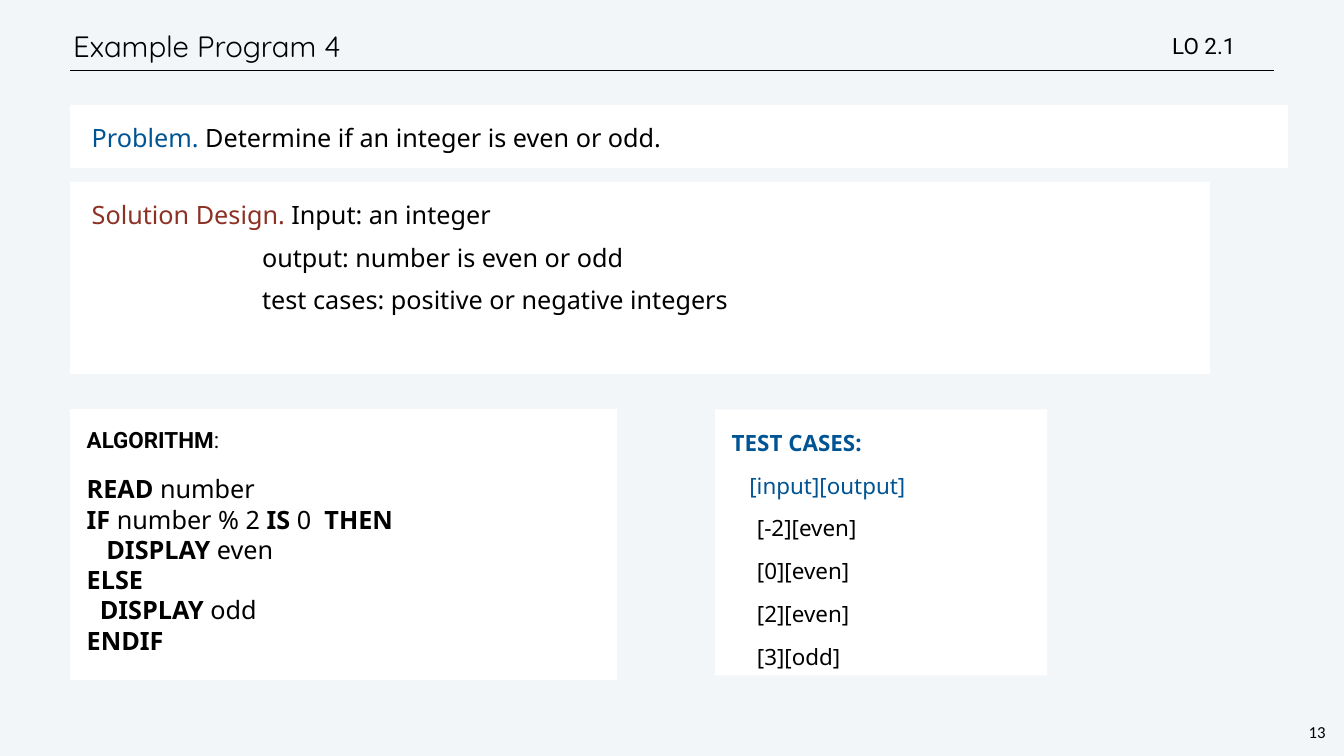
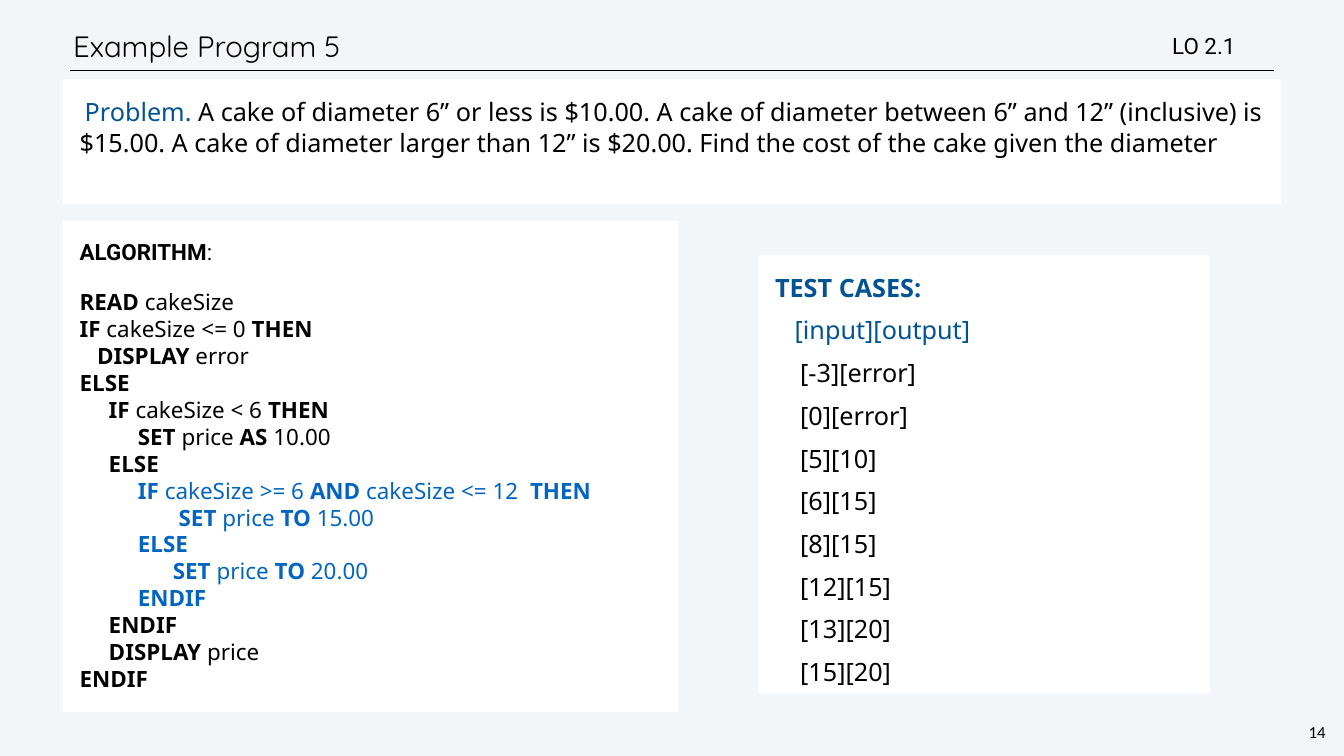
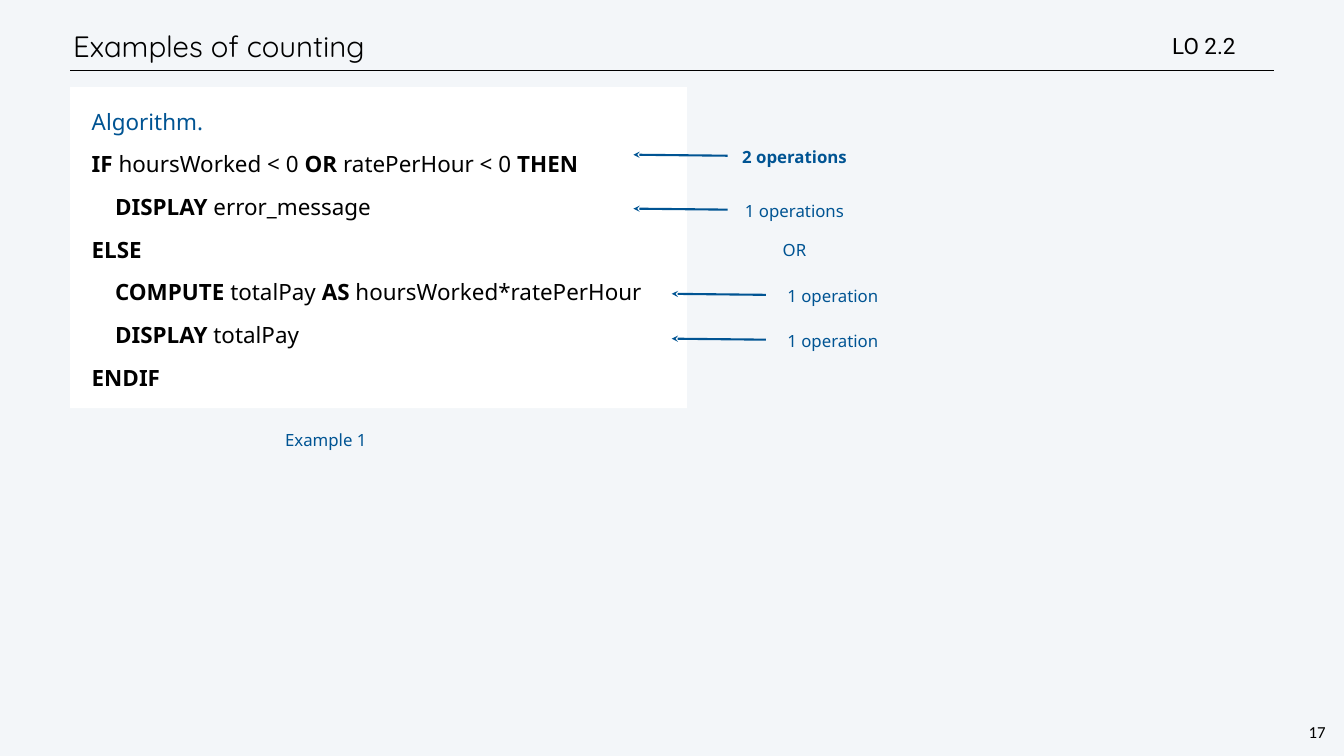
import dataclasses
from typing import Any, Iterable, NamedTuple, Sequence

import pptx
import pptx.dml.color
import pptx.enum.shapes
import pptx.enum.text
import pptx.oxml
import pptx.oxml.ns
import pptx.util

SCALE = 9144  # EMU per px, 100 px to the inch
COLOURS = {
    "page": "F3F6F9",
    "card": "FFFFFF",
    "ink": "000000",
    "blue": "005493",
    "red": "8D3124",
    "branch": "0365C0",
}
ALIGN = pptx.enum.text.PP_ALIGN
ANCHOR = pptx.enum.text.MSO_ANCHOR


class Area(NamedTuple):
    left: int
    top: int
    width: int
    height: int


@dataclasses.dataclass(frozen=True)
class Style:
    """Paragraph look: sizes in points, margins in px."""
    font: str
    size: int
    pitch: float = 0
    before: float = 0
    margin: int = 0
    first: int = 0
    align: Any = ALIGN.LEFT


@dataclasses.dataclass(frozen=True)
class Line:
    """One paragraph; each | in the text switches bold on or off."""
    text: str
    style: Style
    colour: str = "ink"
    lead: str = ""
    lead_colour: str = "blue"


class Card(NamedTuple):
    area: Area
    lines: Sequence[Line]


class Count(NamedTuple):
    text: str
    left: int
    top: int
    arrow: bool = True


# Shared styles and places
TITLE = Style("Quicksand", 42, pitch=50)
OBJECTIVE = Style("Roboto", 32)
PAGE_NUMBER = Style("Calibri", 24, pitch=28, align=ALIGN.CENTER)
STATEMENT = Style("Noto Sans", 36, pitch=44, before=17, first=10)
STEP = dataclasses.replace(STATEMENT, size=32)
DETAIL = dataclasses.replace(STATEMENT, margin=348, first=0)
LABEL = Style("Noto Sans", 24, pitch=28, margin=9, align=ALIGN.CENTER)

TITLE_AREA = Area(139, 42, 2262, 99)
OBJECTIVE_AREA = Area(2320, 58, 299, 65)
NUMBER_AREA = Area(2592, 1429, 43, 47)
RULE = (139, 140, 2528, 140)
CARD_INSET = 33
TEXT_INSET = 6


def px(length: float) -> pptx.util.Emu:
    return pptx.util.Emu(int(length * SCALE))


def rgb(name: str) -> pptx.dml.color.RGBColor:
    return pptx.dml.color.RGBColor.from_string(COLOURS[name])


# Text
def add_span(para: Any, text: str, style: Style, colour: str, bold: bool) -> None:
    span = para.add_run()
    span.text = text
    span.font.name = style.font
    span.font.size = pptx.util.Pt(style.size)
    span.font.bold = bold
    span.font.color.rgb = rgb(colour)


def write(frame: Any, lines: Iterable[Line], inset: int, anchor: Any = ANCHOR.TOP,
          wrap: bool = True) -> None:
    frame.word_wrap = wrap
    frame.auto_size = pptx.enum.text.MSO_AUTO_SIZE.NONE
    frame.vertical_anchor = anchor
    frame.margin_left = frame.margin_right = px(inset)
    frame.margin_top = frame.margin_bottom = px(inset)
    for index, line in enumerate(lines):
        style = line.style
        para = frame.add_paragraph() if index else frame.paragraphs[0]
        para.alignment = style.align
        para.space_before = pptx.util.Pt(style.before if index else 0)
        if style.pitch:
            para.line_spacing = pptx.util.Pt(style.pitch)
        properties = para._p.get_or_add_pPr()
        properties.set("marL", str(px(style.margin)))
        properties.set("indent", str(px(style.first)))
        if line.lead:
            add_span(para, line.lead, style, line.lead_colour, False)
        for position, text in enumerate(line.text.split("|")):
            if text:
                add_span(para, text, style, line.colour, position % 2 == 1)


def add_text(page: Any, area: Area, line: Line, inset: int = TEXT_INSET,
             anchor: Any = ANCHOR.TOP, wrap: bool = True) -> None:
    box = page.shapes.add_textbox(*map(px, area))
    write(box.text_frame, [line], inset, anchor, wrap)


# Shapes
def add_card(page: Any, card: Card) -> None:
    shape = page.shapes.add_shape(
        pptx.enum.shapes.MSO_SHAPE.RECTANGLE, *map(px, card.area))
    shape.shadow.inherit = False
    shape.fill.solid()
    shape.fill.fore_color.rgb = rgb("card")
    shape.line.fill.background()
    write(shape.text_frame, card.lines, CARD_INSET)


def add_line(page: Any, ends: Sequence[int], colour: str, weight: int,
             arrow: bool = False) -> None:
    connector = page.shapes.add_connector(
        pptx.enum.shapes.MSO_CONNECTOR.STRAIGHT, *map(px, ends))
    connector.line.color.rgb = rgb(colour)
    connector.line.width = pptx.util.Pt(weight)
    if arrow:
        head = pptx.oxml.parse_xml(
            f'<a:headEnd {pptx.oxml.ns.nsdecls("a")} type="stealth"/>')
        connector.line._get_or_add_ln().append(head)
    connector._element.spPr.append(
        pptx.oxml.parse_xml(f'<a:effectLst {pptx.oxml.ns.nsdecls("a")}/>'))


def add_count(page: Any, count: Count) -> None:
    add_text(page, Area(count.left, count.top, 418, 50),
             Line(count.text, LABEL, "blue"))
    if count.arrow:
        tip, height = count.left - 106, count.top + 20
        add_line(page, (tip, height, tip + 187, height + 2), "blue", 3, arrow=True)


# Card contents
def algorithm(area: Area, size: int, gap: int, code: Sequence[str],
              branch: range = range(0)) -> Card:
    """Heading plus pseudocode; the lines in branch are highlighted."""
    style = Style("Noto Sans", size, pitch=round(size * 1.2, 1))
    opening = dataclasses.replace(style, before=gap)
    lines = [Line("|ALGORITHM|:", OBJECTIVE)]
    for index, text in enumerate(code):
        lines.append(Line(text, style if index else opening,
                          "branch" if index in branch else "ink"))
    return Card(area, lines)


def test_cases(area: Area, size: int, cases: Sequence[str]) -> Card:
    heading = Style("Noto Sans", size, pitch=43, before=18)
    columns = dataclasses.replace(heading, margin=round(size * 1.08))
    case = dataclasses.replace(heading, margin=50)
    return Card(area, [
        Line("|TEST CASES:", heading, "blue"),
        Line("[input][output]", columns, "blue"),
        *(Line(text, case) for text in cases),
    ])


def add_page(deck: Any, title: str, objective: str, number: int,
             cards: Iterable[Card], counts: Iterable[Count] = ()) -> None:
    page = deck.slides.add_slide(deck.slide_layouts[5])
    add_line(page, RULE, "ink", 1)
    heading = page.shapes.title
    heading.left, heading.top, heading.width, heading.height = map(px, TITLE_AREA)
    write(heading.text_frame, [Line(title, TITLE)], TEXT_INSET, ANCHOR.MIDDLE)
    add_text(page, NUMBER_AREA, Line(str(number), PAGE_NUMBER), inset=4, wrap=False)
    add_text(page, OBJECTIVE_AREA, Line(objective, OBJECTIVE), anchor=ANCHOR.MIDDLE)
    for card in cards:
        add_card(page, card)
    for count in counts:
        add_count(page, count)


def main() -> None:
    deck = pptx.Presentation()
    deck.slide_width, deck.slide_height = px(2667), px(1500)
    background = deck.slide_master.background.fill
    background.solid()
    background.fore_color.rgb = rgb("page")

    # Even or odd
    add_page(deck, "Example Program 4", "LO 2.1", 13, [
        Card(Area(139, 208, 2417, 125), [
            Line("Determine if an integer is even or odd.", STATEMENT,
                 lead="Problem. "),
        ]),
        Card(Area(139, 361, 2262, 381), [
            Line("Input: an integer", STATEMENT,
                 lead="Solution Design. ", lead_colour="red"),
            Line("output: number is even or odd", DETAIL),
            Line("test cases: positive or negative integers", DETAIL),
        ]),
        algorithm(Area(139, 812, 1085, 537), 36, 30, [
            "|READ |number",
            "|IF |number % 2 |IS| 0  |THEN",
            "|   DISPLAY |even",
            "|ELSE",
            "|  DISPLAY |odd",
            "|ENDIF",
        ]),
        test_cases(Area(1419, 812, 659, 528), 32,
                   ["[-2][even]", "[0][even]", "[2][even]", "[3][odd]"]),
    ])

    # Cake price
    add_page(deck, "Example Program 5", "LO 2.1", 14, [
        algorithm(Area(125, 439, 1221, 974), 32, 34, [
            "|READ |cakeSize",
            "|IF |cakeSize <= 0 |THEN",
            "|   DISPLAY |error",
            "|ELSE",
            "|     IF |cakeSize < 6 |THEN",
            "|          SET |price| AS |10.00",
            "|     ELSE",
            "|          IF |cakeSize >= 6 |AND |cakeSize <= 12  |THEN",
            "|                 SET |price| TO |15.00",
            "|          ELSE",
            "|                SET |price| TO |20.00",
            "|          ENDIF",
            "|     ENDIF",
            "|     DISPLAY |price",
            "|ENDIF",
        ], branch=range(7, 12)),
        Card(Area(125, 157, 2417, 248), [
            Line("A cake of diameter 6” or less is $10.00. A cake of diameter "
                 "between 6” and 12” (inclusive) is $15.00. A cake of diameter "
                 "larger than 12” is $20.00. Find the cost of the cake given "
                 "the diameter", STATEMENT, lead="Problem. "),
        ]),
        test_cases(Area(1505, 507, 896, 869), 36,
                   ["[-3][error]", "[0][error]", "[5][10]", "[6][15]",
                    "[8][15]", "[12][15]", "[13][20]", "[15][20]"]),
    ])

    # Counting operations
    steps = [
        "|IF| hoursWorked < 0 |OR| ratePerHour < 0 |THEN",
        "    |DISPLAY| error_message",
        "|ELSE",
        "    |COMPUTE| totalPay |AS| hoursWorked*ratePerHour",
        "    |DISPLAY| totalPay",
        "|ENDIF",
    ]
    add_page(deck, "Examples of counting", "LO 2.2", 17, [
        Card(Area(139, 173, 1224, 637), [
            Line("Algorithm.", STEP, "blue"),
            *(Line(text, STEP) for text in steps),
        ]),
    ], [
        Count("Example 1", 433, 848, arrow=False),
        Count("|2 operations", 1363, 287),
        Count("1 operations", 1363, 394),
        Count("OR", 1363, 470, arrow=False),
        Count("1 operation", 1439, 563),
        Count("1 operation", 1439, 652),
    ])

    deck.save("out.pptx")


if __name__ == "__main__":
    main()
